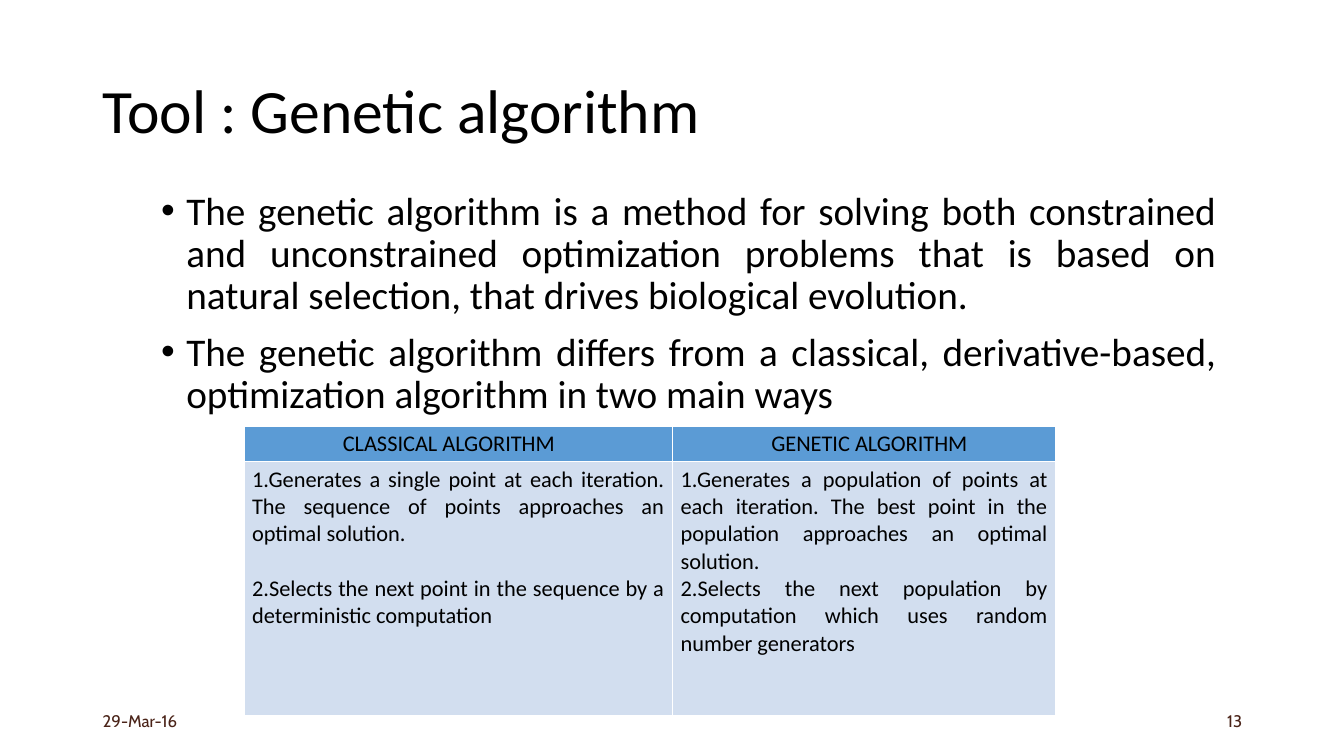
from lxml import etree
from pptx import Presentation
from pptx.dml.color import RGBColor
from pptx.enum.text import MSO_ANCHOR, PP_ALIGN
from pptx.oxml.ns import qn
from pptx.util import Inches, Pt

LEFT, RIGHT, JUSTIFY = PP_ALIGN.LEFT, PP_ALIGN.RIGHT, PP_ALIGN.JUSTIFY
TOP, MIDDLE = MSO_ANCHOR.TOP, MSO_ANCHOR.MIDDLE
TITLE_ONLY = 5
COLORS = {"text": "000000", "footer": "4A2318", "header": "5B9BD5",
          "body": "D2DEEF", "border": "FFFFFF"}

BULLETS = [
    "The genetic algorithm is a method for solving both constrained and "
    "unconstrained optimization problems that is based on natural selection, "
    "that drives biological evolution.",
    "The genetic algorithm differs from a classical, derivative-based, "
    "optimization algorithm in two main ways",
]
# Heading, points and the gap in points between them
COLUMNS = [
    ("CLASSICAL ALGORITHM",
     ["1.Generates a single point at each iteration. The sequence of points "
      "approaches an optimal solution.",
      "2.Selects the next point in the sequence by a deterministic computation"],
     19.5),
    ("GENETIC ALGORITHM",
     ["1.Generates a population of points at each iteration. The best point in "
      "the population approaches an optimal solution.",
      "2.Selects the next population by computation which uses random number "
      "generators"],
     0),
]


def write(frame, lines, size, align, anchor=TOP, font="Calibri", color="text"):
    frame.text = "\n".join(lines)
    frame.word_wrap = True
    frame.vertical_anchor = anchor
    for para in frame.paragraphs:
        para.alignment = align
        for span in para.runs:
            span.font.size = Pt(size)
            span.font.name = font
            span.font.color.rgb = RGBColor.from_string(COLORS[color])


def add_title(page, left, top, width, height):
    title = page.shapes.title
    title.left, title.top = Inches(left), Inches(top)
    title.width, title.height = Inches(width), Inches(height)
    write(title.text_frame, ["Tool : Genetic algorithm"], 44, LEFT, MIDDLE)
    title.text_frame.paragraphs[0].line_spacing = 0.9


def add_text(page, left, top, width, height):
    box = page.shapes.add_textbox(Inches(left), Inches(top),
                                  Inches(width), Inches(height))
    return box.text_frame


def add_bullets(page, left, top, width, height):
    frame = add_text(page, left, top, width, height)
    write(frame, BULLETS, 28, JUSTIFY)
    for para in frame.paragraphs:
        para.line_spacing = 0.9
        para.space_before = Pt(10)
        properties = para._p.get_or_add_pPr()
        properties.set("marL", str(Inches(0.25)))
        properties.set("indent", str(-Inches(0.25)))
        etree.SubElement(properties, qn("a:buFont"), typeface="Arial")
        etree.SubElement(properties, qn("a:buChar"), char="•")


def style_cell(cell, fill):
    # Borders come before the fill in the cell properties
    properties = cell._tc.get_or_add_tcPr()
    for side in ("lnL", "lnR", "lnT", "lnB"):
        line = etree.SubElement(properties, qn(f"a:{side}"), w=str(Pt(1)))
        solid = etree.SubElement(line, qn("a:solidFill"))
        etree.SubElement(solid, qn("a:srgbClr"), val=COLORS["border"])
    cell.fill.solid()
    cell.fill.fore_color.rgb = RGBColor.from_string(COLORS[fill])
    cell.margin_left = cell.margin_right = Inches(0.08)
    cell.margin_top = cell.margin_bottom = Inches(0.04)


def add_comparison(page, left, top, widths, heights):
    table = page.shapes.add_table(
        len(heights), len(widths), Inches(left), Inches(top),
        Inches(sum(widths)), Inches(sum(heights))).table
    for row, height in zip(table.rows, heights):
        row.height = Inches(height)
    for index, (heading, points, gap) in enumerate(COLUMNS):
        table.columns[index].width = Inches(widths[index])
        head, body = table.cell(0, index), table.cell(1, index)
        style_cell(head, "header")
        head.margin_left = Inches(0.98)
        write(head.text_frame, [heading], 16, JUSTIFY)
        style_cell(body, "body")
        write(body.text_frame, points, 16, JUSTIFY)
        body.text_frame.paragraphs[1].space_before = Pt(gap)


def add_footer(page, left, top, width, height):
    # Date at the left edge, page number at the right edge
    part = 3
    for text, offset, align in (("29-Mar-16", 0, LEFT),
                                ("13", width - part, RIGHT)):
        frame = add_text(page, left + offset, top, part, height)
        write(frame, [text], 12, align, MIDDLE, "Cabin", "footer")


def main():
    deck = Presentation()
    deck.slide_width, deck.slide_height = Inches(13.33), Inches(7.5)
    page = deck.slides.add_slide(deck.slide_layouts[TITLE_ONLY])
    add_title(page, 0.92, 0.4, 11.5, 1.45)
    add_bullets(page, 1.5, 1.85, 10.66, 4.76)
    add_comparison(page, 2.42, 4.23, (4.25, 3.8), (0.35, 2.52))
    add_footer(page, 0.92, 6.95, 11.5, 0.4)
    deck.save("out.pptx")


if __name__ == "__main__":
    main()
